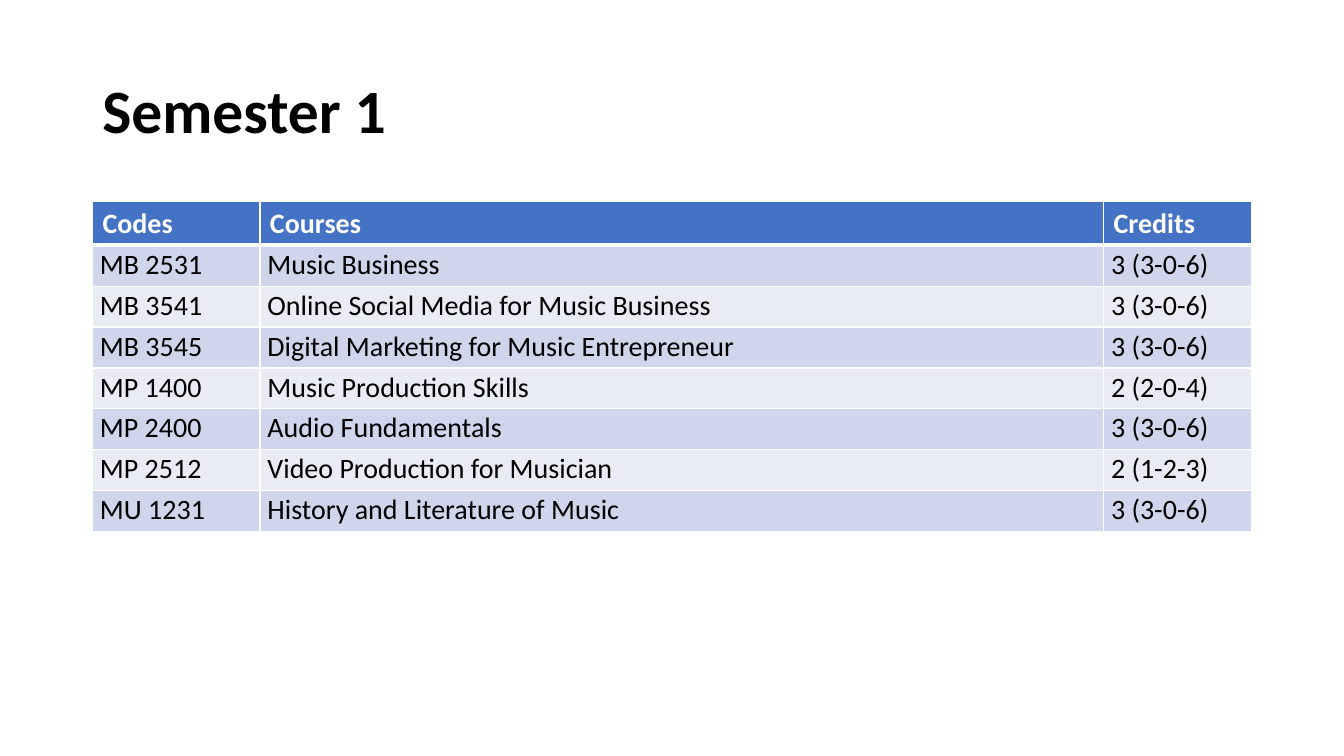
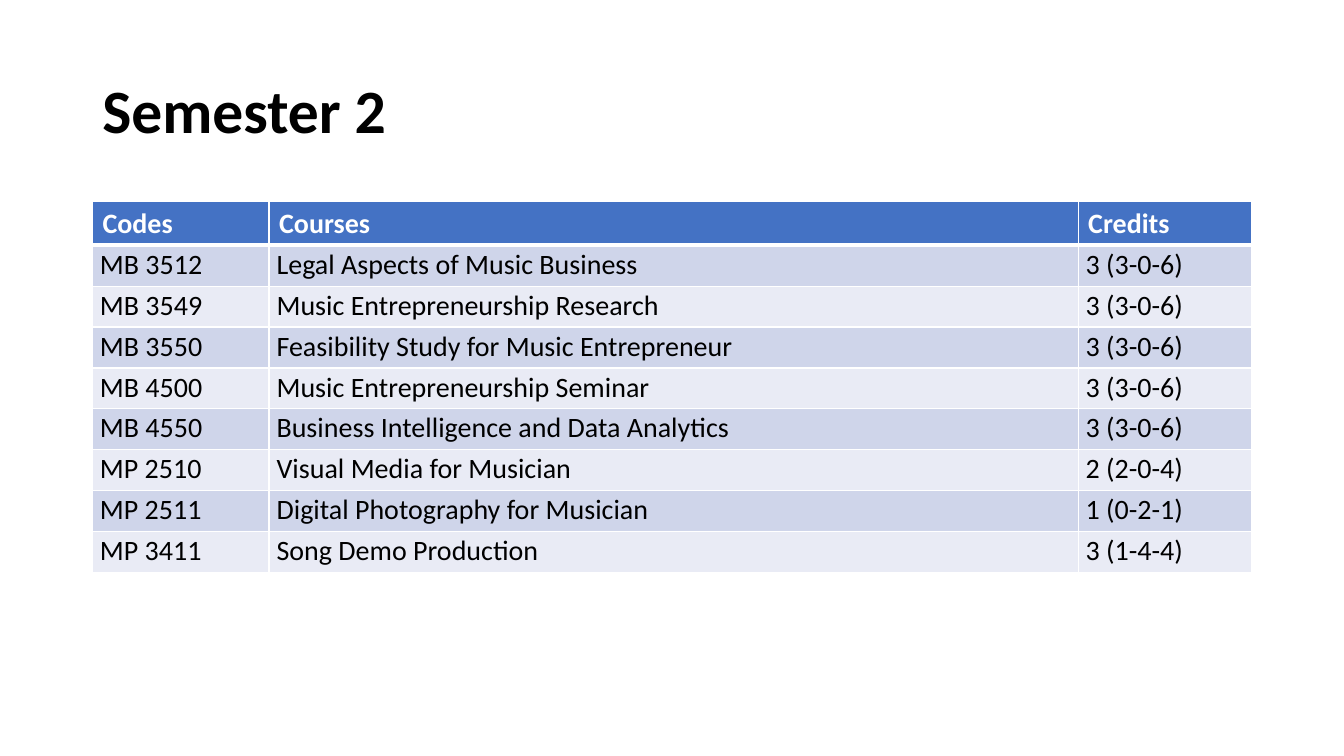
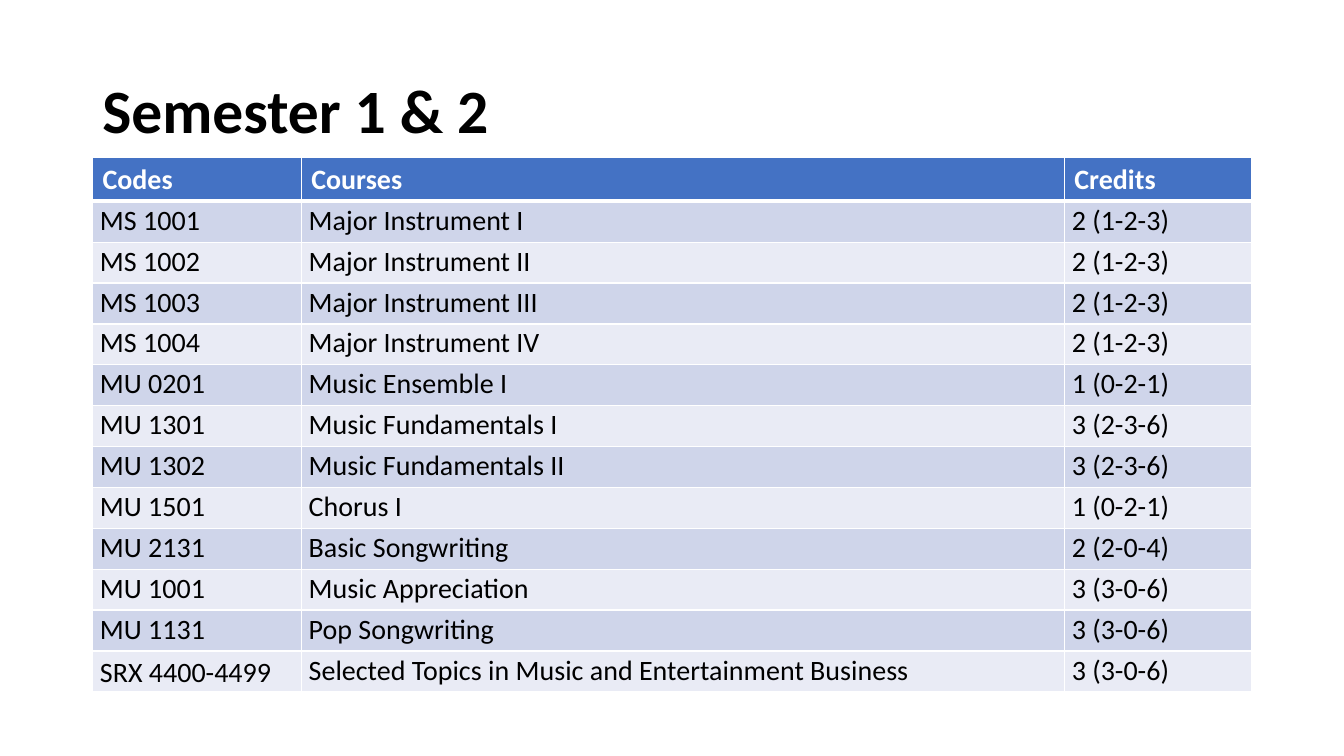
import pptx
import pptx.dml.color
import pptx.enum.text
import pptx.oxml
import pptx.oxml.ns
import pptx.util
from pptx.util import Cm

FONT = "Calibri"
BLACK = "000000"
WHITE = "FFFFFF"
HEADER_FILL = "4472C4"
BAND_FILLS = ("CFD5EA", "E9EBF5")

LEFT = 2.33
CONTENT_WIDTH = 29.21
TITLE_TOP = 1.01
TITLE_HEIGHT = 3.68
ROW_HEIGHT = 1.03
CELL_SIDE_MARGIN = 0.19
THIN_BORDER = 1
THICK_BORDER = 3

HEADINGS = ("Codes", "Courses", "Credits")
SEMESTERS = [
    {
        "title": "Semester 1",
        "table_top": 5.08,
        "code_width": 4.22,
        "credit_width": 3.73,
        "courses": [
            ("MB 2531", "Music Business", "3 (3-0-6)"),
            ("MB 3541", "Online Social Media for Music Business", "3 (3-0-6)"),
            ("MB 3545", "Digital Marketing for Music Entrepreneur", "3 (3-0-6)"),
            ("MP 1400", "Music Production Skills", "2 (2-0-4)"),
            ("MP 2400", "Audio Fundamentals", "3 (3-0-6)"),
            ("MP 2512", "Video Production for Musician", "2 (1-2-3)"),
            ("MU 1231", "History and Literature of Music", "3 (3-0-6)"),
        ],
    },
    {
        "title": "Semester 2",
        "table_top": 5.08,
        "code_width": 4.45,
        "credit_width": 4.37,
        "courses": [
            ("MB 3512", "Legal Aspects of Music Business", "3 (3-0-6)"),
            ("MB 3549", "Music Entrepreneurship Research", "3 (3-0-6)"),
            ("MB 3550", "Feasibility Study for Music Entrepreneur", "3 (3-0-6)"),
            ("MB 4500", "Music Entrepreneurship Seminar", "3 (3-0-6)"),
            ("MB 4550", "Business Intelligence and Data Analytics", "3 (3-0-6)"),
            ("MP 2510", "Visual Media for Musician", "2 (2-0-4)"),
            ("MP 2511", "Digital Photography for Musician", "1 (0-2-1)"),
            ("MP 3411", "Song Demo Production", "3 (1-4-4)"),
        ],
    },
    {
        "title": "Semester 1 & 2",
        "table_top": 3.97,
        "code_width": 5.26,
        "credit_width": 4.72,
        "centred_code": "SRX 4400-4499",
        "courses": [
            ("MS 1001", "Major Instrument I", "2 (1-2-3)"),
            ("MS 1002", "Major Instrument II", "2 (1-2-3)"),
            ("MS 1003", "Major Instrument III", "2 (1-2-3)"),
            ("MS 1004", "Major Instrument IV", "2 (1-2-3)"),
            ("MU 0201", "Music Ensemble I", "1 (0-2-1)"),
            ("MU 1301", "Music Fundamentals I", "3 (2-3-6)"),
            ("MU 1302", "Music Fundamentals II", "3 (2-3-6)"),
            ("MU 1501", "Chorus I", "1 (0-2-1)"),
            ("MU 2131", "Basic Songwriting", "2 (2-0-4)"),
            ("MU 1001", "Music Appreciation", "3 (3-0-6)"),
            ("MU 1131", "Pop Songwriting", "3 (3-0-6)"),
            ("SRX 4400-4499", "Selected Topics in Music and Entertainment Business", "3 (3-0-6)"),
        ],
    },
]


def rgb(value):
    return pptx.dml.color.RGBColor.from_string(value)


def write(text_frame, text, size, colour, bold, line_spacing):
    paragraph = text_frame.paragraphs[0]
    paragraph.line_spacing = line_spacing
    run = paragraph.add_run()
    run.text = text
    run.font.name = FONT
    run.font.size = pptx.util.Pt(size)
    run.font.bold = bold
    run.font.color.rgb = rgb(colour)


def add_title(slide, title):
    box = slide.shapes.add_textbox(Cm(LEFT), Cm(TITLE_TOP), Cm(CONTENT_WIDTH), Cm(TITLE_HEIGHT))
    box.text_frame.word_wrap = True
    box.text_frame.vertical_anchor = pptx.enum.text.MSO_ANCHOR.MIDDLE
    write(box.text_frame, title, 44, BLACK, True, 0.9)


def set_borders(cell, top, bottom):
    """Draw white cell borders; widths are in points."""
    properties = cell._tc.get_or_add_tcPr()
    widths = {"lnL": THIN_BORDER, "lnR": THIN_BORDER, "lnT": top, "lnB": bottom}
    for tag, width in widths.items():
        properties.append(pptx.oxml.parse_xml(
            f'<a:{tag} {pptx.oxml.ns.nsdecls("a")} w="{pptx.util.Pt(width)}">'
            f'<a:solidFill><a:srgbClr val="{WHITE}"/></a:solidFill></a:{tag}>'))


def style_cell(cell, row_index, text):
    is_header = row_index == 0
    set_borders(cell,
                top=THICK_BORDER if row_index == 1 else THIN_BORDER,
                bottom=THICK_BORDER if is_header else THIN_BORDER)
    cell.fill.solid()
    if is_header:
        cell.fill.fore_color.rgb = rgb(HEADER_FILL)
        write(cell.text_frame, text, 20, WHITE, True, 1.0)
    else:
        cell.fill.fore_color.rgb = rgb(BAND_FILLS[(row_index - 1) % 2])
        cell.margin_left = cell.margin_right = Cm(CELL_SIDE_MARGIN)
        cell.margin_top = cell.margin_bottom = 0
        write(cell.text_frame, text, 20, BLACK, False, 1.07)


def add_course_table(slide, semester):
    rows = [HEADINGS] + semester["courses"]
    table = slide.shapes.add_table(
        len(rows), len(HEADINGS), Cm(LEFT), Cm(semester["table_top"]),
        Cm(CONTENT_WIDTH), Cm(ROW_HEIGHT * len(rows))).table
    code_width, credit_width = semester["code_width"], semester["credit_width"]
    widths = (code_width, CONTENT_WIDTH - code_width - credit_width, credit_width)
    for column, width in zip(table.columns, widths):
        column.width = Cm(width)
    for row_index, row in enumerate(rows):
        table.rows[row_index].height = Cm(ROW_HEIGHT)
        for column_index, text in enumerate(row):
            cell = table.cell(row_index, column_index)
            style_cell(cell, row_index, text)
            if text == semester.get("centred_code"):
                cell.vertical_anchor = pptx.enum.text.MSO_ANCHOR.MIDDLE


def main():
    presentation = pptx.Presentation()
    presentation.slide_width = Cm(33.87)
    presentation.slide_height = Cm(19.05)
    blank_layout = presentation.slide_layouts[6]
    for semester in SEMESTERS:
        slide = presentation.slides.add_slide(blank_layout)
        add_title(slide, semester["title"])
        add_course_table(slide, semester)
    presentation.save("out.pptx")


if __name__ == "__main__":
    main()
